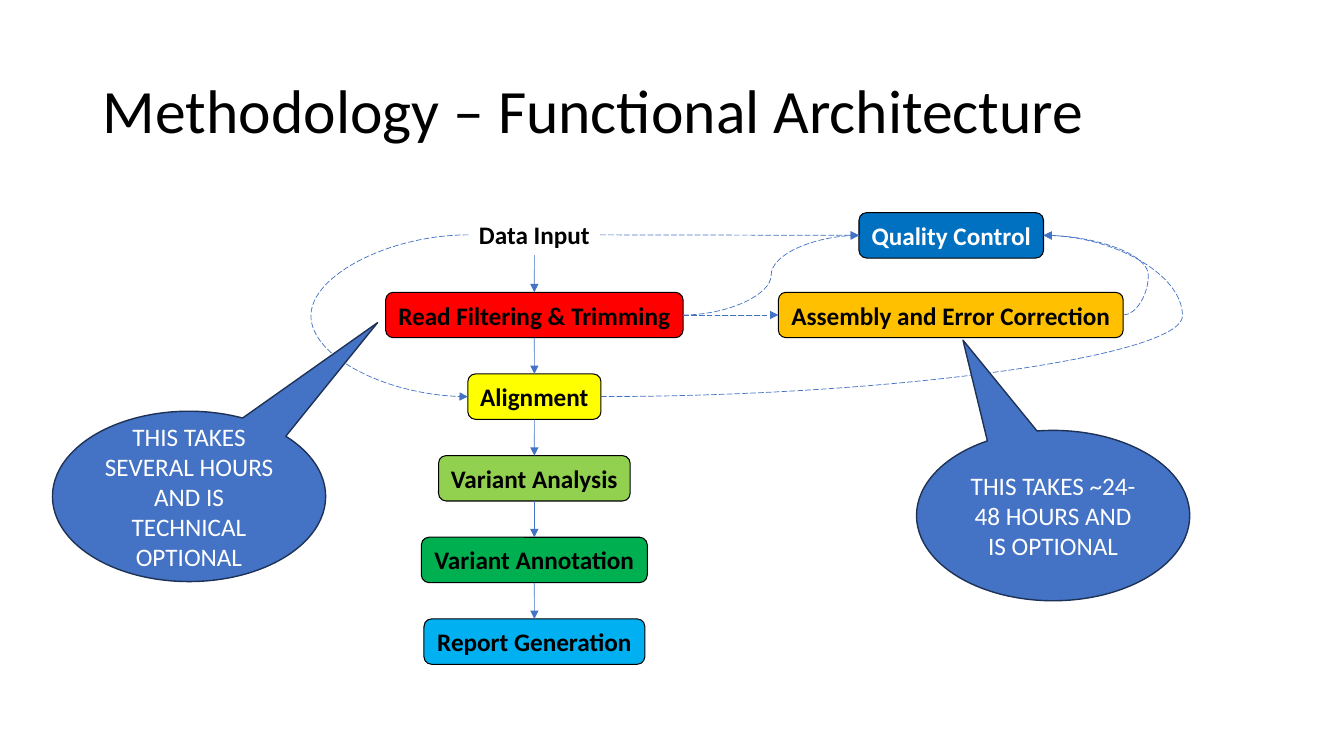
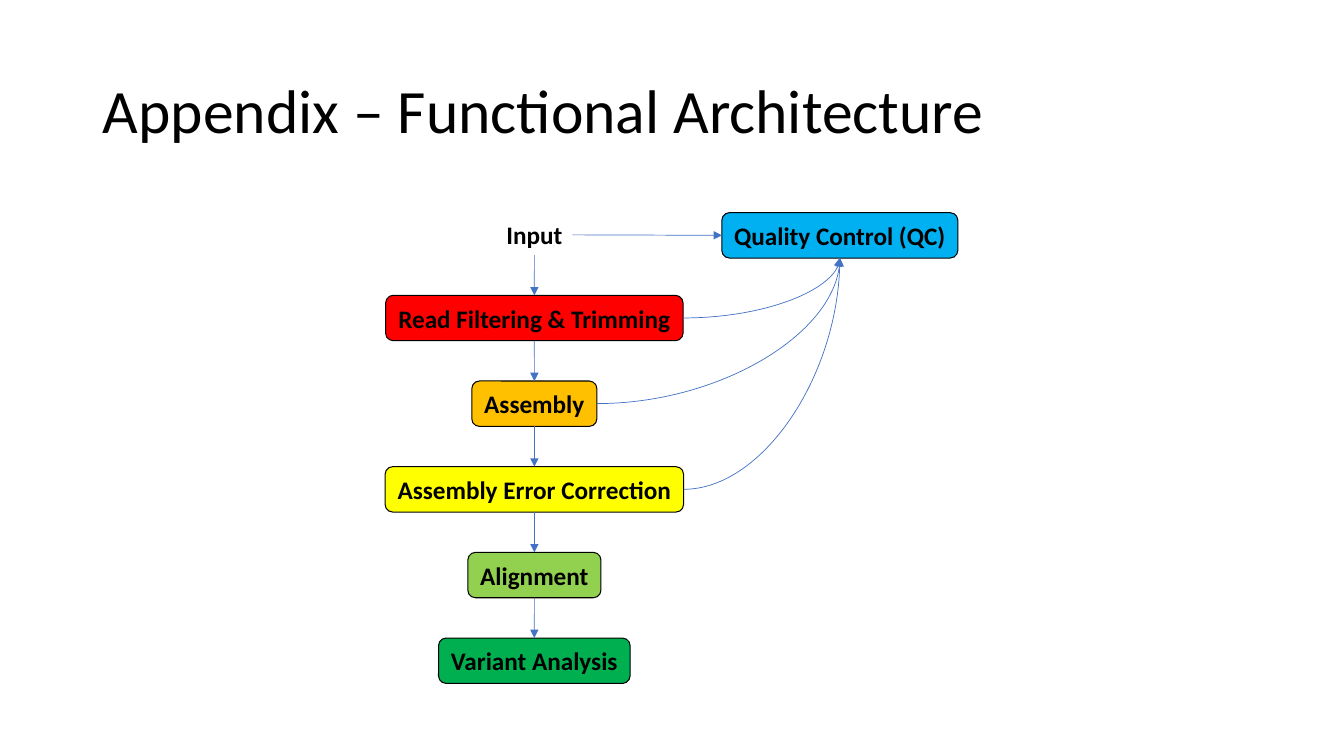
from lxml import etree
from pptx import Presentation
from pptx.dml.color import RGBColor
from pptx.enum.dml import MSO_LINE
from pptx.enum.shapes import MSO_CONNECTOR, MSO_SHAPE
from pptx.enum.text import MSO_ANCHOR, PP_ALIGN
from pptx.oxml.ns import qn
from pptx.util import Inches, Pt

ROUNDED = MSO_SHAPE.ROUNDED_RECTANGLE
CALLOUT = MSO_SHAPE.OVAL_CALLOUT
STRAIGHT, CURVED = MSO_CONNECTOR.STRAIGHT, MSO_CONNECTOR.CURVE
LONG_DASH = MSO_LINE.LONG_DASH
MIDDLE = MSO_ANCHOR.MIDDLE
LEFT_ALIGN, CENTER = PP_ALIGN.LEFT, PP_ALIGN.CENTER
TOP, LEFT, BOTTOM, RIGHT = range(4)

FONT = "Calibri"
COLORS = {
    "black": "000000", "white": "FFFFFF", "accent": "4472C4", "outline": "1E3256",
    "red": "FF0000", "orange": "FFC000", "yellow": "FFFF00", "lime": "92D050",
    "green": "00B050", "sky": "00B0F0", "blue": "0070C0",
}
CHAIN_CENTER = 5.3
INPUT_TOP, INPUT_HEIGHT = 2.13, 0.4
CONTROL_TOP, STEP_HEIGHT = 2.11, 0.45
CALLOUT_SIZE = (2.71, 1.69)

SLIDES = [
    {
        "title": "Methodology – Functional Architecture",
        "input": ("Data Input", 1.31),
        "first_top": 2.9,
        "pitch": 0.81,
        "steps": [
            ("Read Filtering & Trimming", 2.95, "red"),
            ("Alignment", 1.32, "yellow"),
            ("Variant Analysis", 1.9, "lime"),
            ("Variant Annotation", 2.24, "green"),
            ("Report Generation", 2.19, "sky"),
        ],
        "side_steps": [
            ("Quality Control", 8.52, CONTROL_TOP, 1.83, "blue", "white"),
            ("Assembly and Error Correction", 7.72, 2.9, 3.42, "orange", "black"),
        ],
        "side_dash": LONG_DASH,
        "side_links": [
            ("Data Input", RIGHT, "Quality Control", LEFT),
            ("Read Filtering & Trimming", RIGHT, "Assembly and Error Correction", LEFT),
        ],
        "curves": [
            ("Assembly and Error Correction", RIGHT, "Quality Control", RIGHT, 11.39),
            ("Data Input", LEFT, "Alignment", LEFT, 3.12),
            ("Alignment", RIGHT, "Quality Control", RIGHT, 11.73),
            ("Read Filtering & Trimming", RIGHT, "Quality Control", LEFT, 7.65),
        ],
        "callouts": [
            ("THIS TAKES SEVERAL HOURS AND IS TECHNICAL OPTIONAL", 0.52, 4.08, (0.69, -1.02)),
            ("THIS TAKES ~24-48 HOURS AND IS OPTIONAL", 9.09, 4.27, (-0.33, -1.03)),
        ],
    },
    {
        "title": "Appendix – Functional Architecture",
        "input": ("Input", 0.76),
        "first_top": 2.93,
        "pitch": 0.85,
        "steps": [
            ("Read Filtering & Trimming", 2.95, "red"),
            ("Assembly", 1.24, "orange"),
            ("Assembly Error Correction", 2.96, "yellow"),
            ("Alignment", 1.32, "lime"),
            ("Variant Analysis", 1.9, "green"),
        ],
        "side_steps": [
            ("Quality Control (QC)", 7.16, CONTROL_TOP, 2.34, "sky", "black"),
        ],
        "side_dash": None,
        "side_links": [("Input", RIGHT, "Quality Control (QC)", LEFT)],
        "curves": [
            (step, RIGHT, "Quality Control (QC)", BOTTOM, None)
            for step in ("Read Filtering & Trimming", "Assembly", "Assembly Error Correction")
        ],
        "callouts": [],
    },
]


def rgb(name):
    return RGBColor.from_string(COLORS[name])


def write(shape, text, size, color, bold=False, align=CENTER):
    paragraph = shape.text_frame.paragraphs[0]
    paragraph.alignment = align
    run = paragraph.add_run()
    run.text = text
    run.font.name = FONT
    run.font.size = Pt(size)
    run.font.bold = bold
    run.font.color.rgb = rgb(color)
    return paragraph


def add_title(slide, text):
    title = slide.shapes.title
    title.left, title.top = Inches(0.92), Inches(0.4)
    title.width, title.height = Inches(11.5), Inches(1.45)
    title.text_frame.vertical_anchor = MIDDLE
    write(title, text, 44, "black", align=LEFT_ALIGN).line_spacing = 0.9


def add_filled(slide, preset, box, fill, outline, weight):
    shape = slide.shapes.add_shape(preset, *map(Inches, box))
    shape.shadow.inherit = False
    shape.fill.solid()
    shape.fill.fore_color.rgb = rgb(fill)
    shape.line.color.rgb = rgb(outline)
    shape.line.width = Pt(weight)
    return shape


def add_step(slide, text, left, top, width, fill, color="black"):
    step = add_filled(slide, ROUNDED, (left, top, width, STEP_HEIGHT), fill, "black", 0.75)
    step.text_frame.word_wrap = False
    write(step, text, 18, color, bold=True)
    return step


def add_input(slide, text, width):
    box = (CHAIN_CENTER - width / 2, INPUT_TOP, width, INPUT_HEIGHT)
    entry = slide.shapes.add_textbox(*map(Inches, box))
    entry.text_frame.word_wrap = False
    write(entry, text, 18, "black", bold=True)
    return entry


def add_callout(slide, text, left, top, tip):
    callout = add_filled(slide, CALLOUT, (left, top, *CALLOUT_SIZE), "accent", "outline", 1)
    callout.adjustments[0], callout.adjustments[1] = tip
    callout.text_frame.word_wrap = True
    callout.text_frame.vertical_anchor = MIDDLE
    write(callout, text, 18, "white")


def add_link(slide, source, source_side, target, target_side, kind=STRAIGHT, dash=None):
    link = slide.shapes.add_connector(kind, 0, 0, 0, 0)
    link.begin_connect(source, source_side)
    link.end_connect(target, target_side)
    link.line.color.rgb = rgb("accent")
    link.line.width = Pt(0.5)
    if dash is not None:
        link.line.dash_style = dash
    properties = link._element.spPr
    etree.SubElement(properties.find(qn("a:ln")), qn("a:tailEnd"), type="triangle")
    etree.SubElement(properties, qn("a:effectLst"))
    return link


def bend(link, bend_x):
    geometry = link._element.spPr.find(qn("a:prstGeom"))
    if bend_x is None:
        geometry.set("prst", "curvedConnector2")
        return
    ratio = (Inches(bend_x) - link.begin_x) / (link.end_x - link.begin_x)
    guides = geometry.find(qn("a:avLst"))
    if guides is None:
        guides = etree.SubElement(geometry, qn("a:avLst"))
    etree.SubElement(guides, qn("a:gd"), name="adj1", fmla=f"val {round(ratio * 100000)}")


def build_slide(deck, content):
    slide = deck.slides.add_slide(deck.slide_layouts[5])
    add_title(slide, content["title"])

    input_text, input_width = content["input"]
    chain = [add_input(slide, input_text, input_width)]
    parts = {input_text: chain[0]}
    for row, (text, width, fill) in enumerate(content["steps"]):
        top = content["first_top"] + row * content["pitch"]
        parts[text] = add_step(slide, text, CHAIN_CENTER - width / 2, top, width, fill)
        chain.append(parts[text])
    for text, *layout in content["side_steps"]:
        parts[text] = add_step(slide, text, *layout)

    for upper, lower in zip(chain, chain[1:]):
        add_link(slide, upper, BOTTOM, lower, TOP)
    dash = content["side_dash"]
    for source, source_side, target, target_side in content["side_links"]:
        add_link(slide, parts[source], source_side, parts[target], target_side, dash=dash)
    for source, source_side, target, target_side, bend_x in content["curves"]:
        curve = add_link(slide, parts[source], source_side, parts[target], target_side, CURVED, dash)
        bend(curve, bend_x)
    for callout in content["callouts"]:
        add_callout(slide, *callout)


def main():
    deck = Presentation()
    deck.slide_width, deck.slide_height = Inches(13.33), Inches(7.5)
    for content in SLIDES:
        build_slide(deck, content)
    deck.save("out.pptx")


if __name__ == "__main__":
    main()
